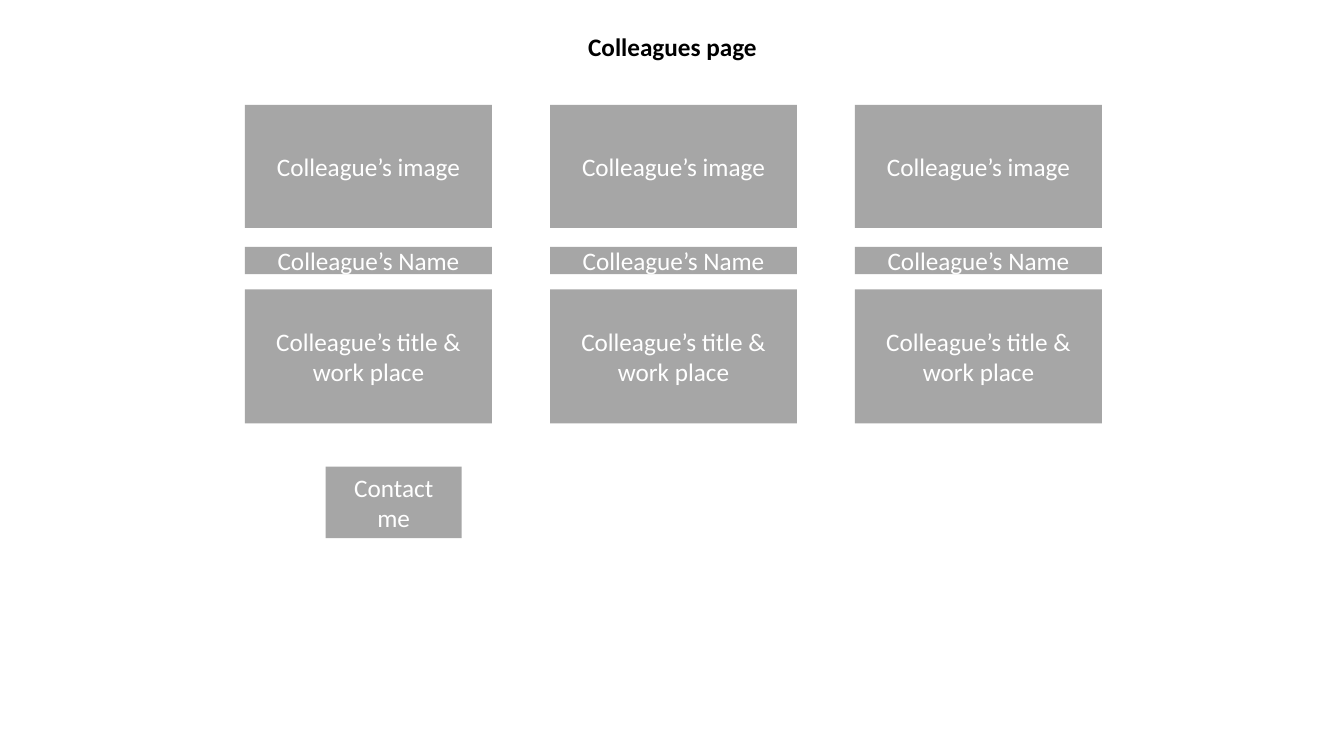
from dataclasses import dataclass

from pptx import Presentation
from pptx.dml.color import RGBColor
from pptx.enum.shapes import MSO_SHAPE
from pptx.enum.text import MSO_ANCHOR, PP_ALIGN
from pptx.slide import Slide
from pptx.text.text import TextFrame
from pptx.util import Inches, Pt

GREY = RGBColor(0xA6, 0xA6, 0xA6)
WHITE = RGBColor(0xFF, 0xFF, 0xFF)
BLACK = RGBColor(0x00, 0x00, 0x00)

COLUMNS = 3
LEFT = 2.43
WIDTH = 2.45
PITCH = 3.025


@dataclass(frozen=True)
class Row:
    text: str
    top: float
    height: float


ROWS = (
    Row("Colleague’s image", 1.04, 1.22),
    Row("Colleague’s Name", 2.45, 0.27),
    Row("Colleague’s title & work place", 2.87, 1.33),
)
CONTACT = Row("Contact me", 4.63, 0.71)


def write(frame: TextFrame, text: str, color: RGBColor, bold: bool = False) -> None:
    frame.word_wrap = True
    line = frame.paragraphs[0]
    line.text = text
    line.alignment = PP_ALIGN.CENTER
    line.font.name = "Calibri"
    line.font.size = Pt(18)
    line.font.bold = bold
    line.font.color.rgb = color


def add_box(slide: Slide, row: Row, left: float, width: float) -> None:
    box = slide.shapes.add_shape(
        MSO_SHAPE.RECTANGLE,
        Inches(left), Inches(row.top), Inches(width), Inches(row.height),
    )
    box.shadow.inherit = False
    box.fill.solid()
    box.fill.fore_color.rgb = GREY
    box.line.fill.background()
    box.text_frame.vertical_anchor = MSO_ANCHOR.MIDDLE
    write(box.text_frame, row.text, WHITE)


def add_title(slide: Slide) -> None:
    title = slide.shapes.add_textbox(
        Inches(4.76), Inches(0.26), Inches(3.82), Inches(0.4)
    )
    write(title.text_frame, "Colleagues page", BLACK, bold=True)


def main() -> None:
    deck = Presentation()
    deck.slide_width = Inches(13.33)
    deck.slide_height = Inches(7.5)
    slide = deck.slides.add_slide(deck.slide_layouts[6])
    add_title(slide)
    for column in range(COLUMNS):
        for row in ROWS:
            add_box(slide, row, LEFT + column * PITCH, WIDTH)
    add_box(slide, CONTACT, 3.23, 1.35)
    deck.save("out.pptx")


if __name__ == "__main__":
    main()
